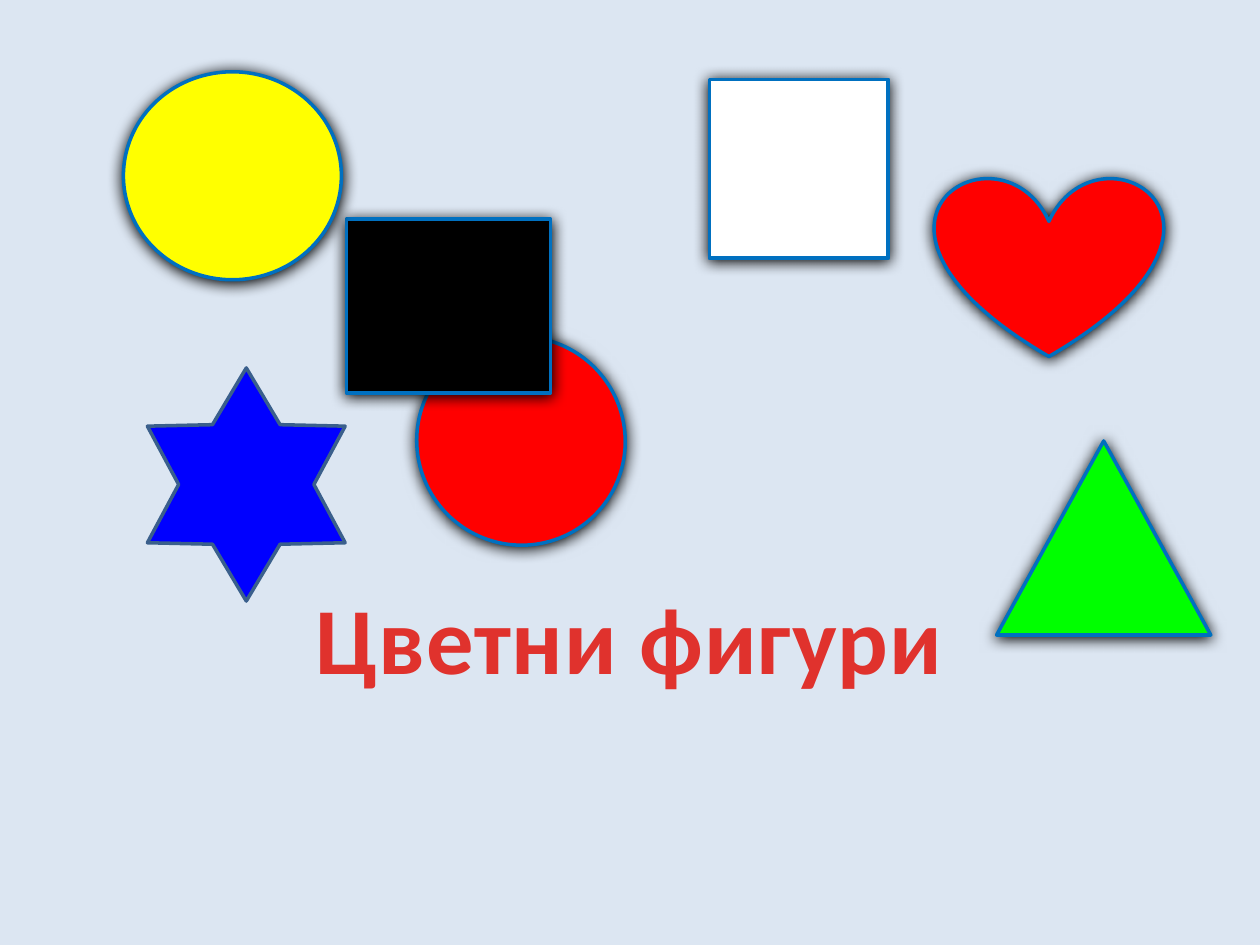
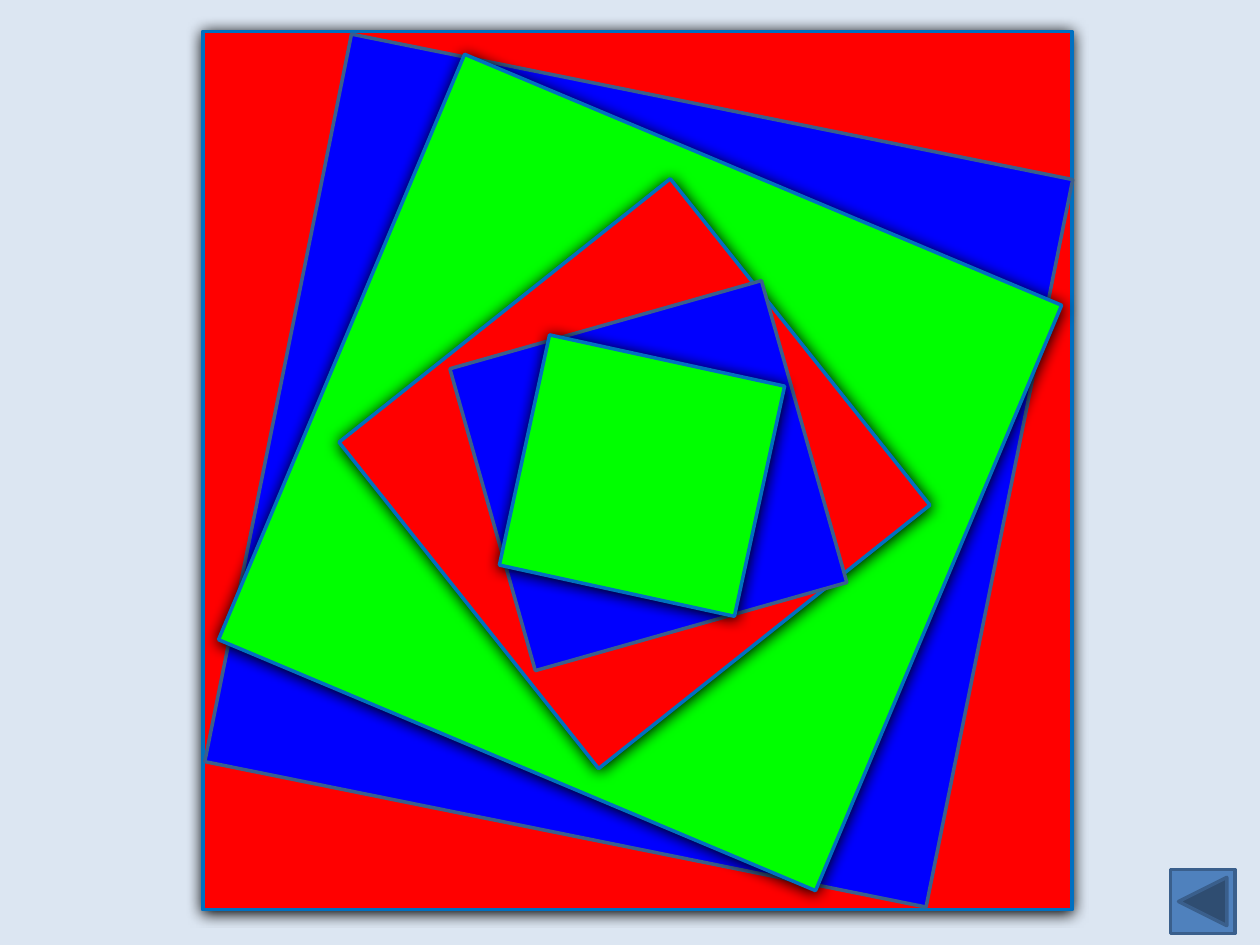
"""Build two slides of coloured shapes: a title slide and a nest of turned squares."""
from pptx import Presentation
from pptx.dml.color import RGBColor as Rgb
from pptx.enum.shapes import MSO_SHAPE as Kind
from pptx.enum.text import MSO_ANCHOR as Anchor, PP_ALIGN as Align
from pptx.oxml import parse_xml
from pptx.util import Inches, Pt

HUES = {
    "back": "DCE6F2", "edge": "0070C0", "dark": "3A5F8C", "title": "E0322D",
    "red": "FF0000", "green": "00FF00", "blue": "0000FF", "yellow": "FFFF00",
    "black": "000000", "white": "FFFFFF", "button": "4F81BD",
}
FLAT = ("blue", "button")
SHADE = (
    '<a:effectLst xmlns:a="http://schemas.openxmlformats.org/drawingml/2006/main">'
    '<a:outerShdw blurRad="107950" dist="12700" dir="5400000" rotWithShape="0">'
    '<a:srgbClr val="000000"/></a:outerShdw></a:effectLst>'
)

deck = Presentation()
deck.slide_width, deck.slide_height = Inches(10), Inches(7.5)
COL, ROW = deck.slide_width / 10, deck.slide_height / 7.5
ground = deck.slide_master.background.fill
ground.solid()
ground.fore_color.rgb = Rgb.from_string(HUES["back"])


def place(item, left, top, wide, high):
    item.left, item.top = round(left * COL), round(top * ROW)
    item.width, item.height = round(wide * COL), round(high * ROW)


def draw(slide, kind, hue, box, turn=0):
    shape = slide.shapes.add_shape(kind, 0, 0, 0, 0)
    place(shape, *box)
    shape.rotation = turn
    shape.fill.solid()
    shape.fill.fore_color.rgb = Rgb.from_string(HUES[hue])
    shape.line.color.rgb = Rgb.from_string(HUES["dark" if hue in FLAT else "edge"])
    shape.line.width = Pt(2)
    shape.shadow.inherit = False
    if hue not in FLAT:
        props = shape.element.spPr
        props.remove(props[-1])
        props.append(parse_xml(SHADE))
    return shape


cover = deck.slides.add_slide(deck.slide_layouts[5])
figures = [
    (Kind.OVAL, "red", (3.31, 2.67, 1.65, 1.66), 315.5),
    (Kind.RECTANGLE, "black", (2.75, 1.74, 1.62, 1.38)),
    (Kind.OVAL, "yellow", (0.98, 0.57, 1.73, 1.65)),
    (Kind.ISOSCELES_TRIANGLE, "green", (7.91, 3.5, 1.7, 1.54)),
    (Kind.RECTANGLE, "white", (5.63, 0.63, 1.42, 1.42)),
    (Kind.HEART, "red", (7.42, 1.4, 1.81, 1.43)),
]
for figure in figures:
    draw(cover, *figure)
star = draw(cover, Kind.STAR_6_POINT, "blue", (1.17, 2.92, 1.57, 1.85))
star.adjustments[0] = 0.296

title = cover.shapes.title
place(title, 2.38, 4.55, 5.23, 1.01)
frame = title.text_frame
frame.text = "Цветни фигури"
frame.word_wrap = False
frame.vertical_anchor = Anchor.TOP
line = frame.paragraphs[0]
line.alignment = Align.CENTER
run = line.runs[0]
run.font.name, run.font.size, run.font.bold = "Calibri", Pt(54), True
run.font.color.rgb = Rgb.from_string(HUES["title"])
run.font._element.set("spc", "50")

nest = deck.slides.add_slide(deck.slide_layouts[6])
squares = [
    ("red", (1.61, 0.25, 6.9, 6.97), 0),
    ("blue", (2.15, 0.79, 5.84, 5.89), 11.4),
    ("green", (2.51, 1.23, 5.14, 5.04), 22.8),
    ("red", (3.38, 2.08, 3.31, 3.36), 51.5),
    ("blue", (3.9, 2.49, 2.49, 2.57), 74.2),
    ("green", (4.16, 2.82, 1.87, 1.91), 102.3),
]
for square in squares:
    draw(nest, Kind.RECTANGLE, *square)
draw(nest, Kind.ACTION_BUTTON_BACK_OR_PREVIOUS, "button", (9.29, 6.9, 0.51, 0.51))

deck.save("out.pptx")
